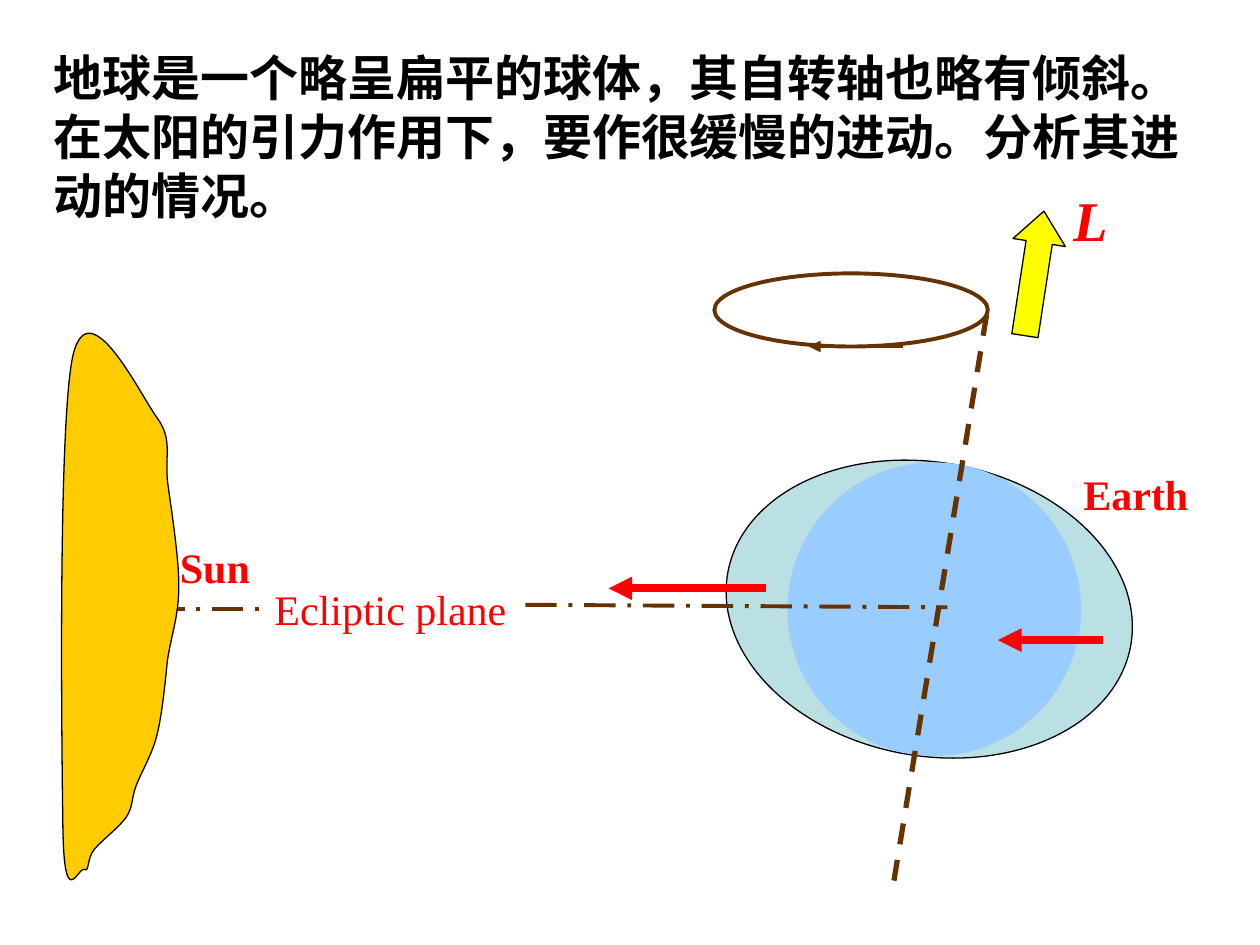
import pptx
import pptx.dml.color
import pptx.enum.dml
import pptx.enum.shapes
import pptx.oxml.ns
import pptx.oxml.xmlchemy
import pptx.util

Inches = pptx.util.Inches
Pt = pptx.util.Pt
RGBColor = pptx.dml.color.RGBColor
SHAPE = pptx.enum.shapes.MSO_SHAPE
DASH = pptx.enum.dml.MSO_LINE
qn = pptx.oxml.ns.qn
OxmlElement = pptx.oxml.xmlchemy.OxmlElement

BLACK = RGBColor(0x00, 0x00, 0x00)
RED = RGBColor(0xFF, 0x00, 0x00)
BROWN = RGBColor(0x66, 0x33, 0x00)
YELLOW = RGBColor(0xFF, 0xFF, 0x00)
GOLD = RGBColor(0xFF, 0xCC, 0x00)
PALE_TEAL = RGBColor(0xBB, 0xE0, 0xE3)
SKY = RGBColor(0x99, 0xCC, 0xFF)

# Start point, then three points (two handles and an end) per curve
SUN_EDGE = [
    (0.58, 2.82),
    (0.71, 2.28), (1.12, 3.15), (1.25, 3.32),
    (1.37, 3.49), (1.31, 3.60), (1.33, 3.82),
    (1.36, 4.04), (1.42, 4.42), (1.42, 4.65),
    (1.42, 4.89), (1.36, 5.04), (1.33, 5.24),
    (1.31, 5.43), (1.29, 5.65), (1.25, 5.82),
    (1.21, 5.99), (1.12, 6.13), (1.08, 6.24),
    (1.04, 6.35), (1.06, 6.40), (1.00, 6.49),
    (0.94, 6.57), (0.81, 6.67), (0.75, 6.74),
    (0.69, 6.81), (0.71, 6.93), (0.67, 6.90),
    (0.62, 6.88), (0.51, 7.25), (0.50, 6.57),
    (0.49, 5.89), (0.46, 3.36), (0.58, 2.82),
]


class Diagram:
    """Draws styled elements on one slide."""

    font = "Times New Roman"
    outline = 0.74

    def __init__(self, slide):
        """Keep the slide to draw on."""
        self.s = slide

    def paint(self, sp, fill, line, width):
        """Set fill and outline; None means none."""
        sp.shadow.inherit = False
        if fill is None:
            sp.fill.background()
        else:
            sp.fill.solid()
            sp.fill.fore_color.rgb = fill
        if line is None:
            sp.line.fill.background()
        else:
            sp.line.color.rgb = line
            sp.line.width = Pt(width)

    def shape(self, kind, at, fill=None, line=None, width=outline, rotation=0):
        """Add a preset shape."""
        sp = self.s.shapes.add_shape(kind, *map(Inches, at))
        sp.rotation = rotation
        self.paint(sp, fill, line, width)
        return sp

    def curve(self, points, fill, line):
        """Add a closed outline of cubic curves."""
        start, *rest = [(Inches(x), Inches(y)) for x, y in points]
        builder = self.s.shapes.build_freeform(*start)
        builder.add_line_segments(rest, close=True)
        sp = builder.convert_to_shape()
        segments = list(sp._element.iter(qn("a:lnTo")))
        for i in range(0, len(segments), 3):
            bezier = OxmlElement("a:cubicBezTo")
            segments[i].addprevious(bezier)
            for segment in segments[i:i + 3]:
                bezier.append(segment[0])
                segment.getparent().remove(segment)
        self.paint(sp, fill, line, self.outline)

    def line(self, start, end, color, width, dash=None, arrow=False):
        """Add a straight line, with an arrowhead at its end if asked."""
        cx = self.s.shapes.add_connector(
            pptx.enum.shapes.MSO_CONNECTOR.STRAIGHT,
            *map(Inches, start + end))
        cx.line.color.rgb = color
        cx.line.width = Pt(width)
        if dash is not None:
            cx.line.dash_style = dash
        if arrow:
            tail = OxmlElement("a:tailEnd")
            tail.set("type", "triangle")
            cx._element.spPr.find(qn("a:ln")).append(tail)
        cx._element.spPr.append(OxmlElement("a:effectLst"))

    def text(self, at, words, size=24, color=RED, bold=True, italic=False):
        """Add a wrapped text box with one run."""
        tf = self.s.shapes.add_textbox(*map(Inches, at)).text_frame
        tf.word_wrap = True
        p = tf.paragraphs[0]
        p.space_before = Pt(size * 0.625)
        r = p.add_run()
        r.text = words
        r.font.name = self.font
        r.font.size = Pt(size)
        r.font.bold = bold
        r.font.italic = italic
        r.font.color.rgb = color


def main():
    """Build the slide on the Earth's precession."""
    prs = pptx.Presentation()
    prs.slide_width, prs.slide_height = Inches(10), Inches(7.5)
    d = Diagram(prs.slides.add_slide(prs.slide_layouts[6]))

    # Earth and its axis
    d.shape(SHAPE.OVAL, (5.75, 3.67, 3.25, 2.33), PALE_TEAL, BLACK,
            rotation=10.3)
    d.shape(SHAPE.OVAL, (6.25, 3.67, 2.33, 2.33), SKY)
    d.line((7.83, 2.5), (7.08, 7.08), BROWN, 3, DASH.DASH)
    d.text((8.5, 3.67, 1.08, 0.5), "Earth")
    d.line((8.75, 5.08), (7.92, 5.08), RED, 4.51, arrow=True)

    # Ecliptic plane
    d.line((4.17, 4.8), (7.52, 4.82), BROWN, 2.24, DASH.LONG_DASH_DOT)
    d.text((2.08, 4.58, 2.08, 0.5), "Ecliptic plane", bold=False)
    d.line((0.75, 4.83), (2.08, 4.83), BROWN, 2.24, DASH.LONG_DASH_DOT)

    # Sun
    d.curve(SUN_EDGE, GOLD, BLACK)
    d.text((1.33, 4.25, 0.83, 0.5), "Sun")

    # Angular momentum
    momentum = d.shape(SHAPE.UP_ARROW, (8, 1.67, 0.42, 1), YELLOW, BLACK,
                       rotation=8.7)
    momentum.adjustments[0] = 0.5
    momentum.adjustments[1] = 0.6
    d.text((8.42, 1.42, 0.42, 0.64), "L", size=32, italic=True)

    # Precession circle and the pull on the near side
    d.shape(SHAPE.OVAL, (5.67, 2.17, 2.17, 0.58), line=BROWN, width=2.24)
    d.line((7.17, 2.75), (6.42, 2.75), BROWN, 2.24, arrow=True)
    d.line((6.08, 4.67), (4.83, 4.67), RED, 4.51, arrow=True)

    d.text((0.33, 0.33, 9.33, 1.5),
           "地球是一个略呈扁平的球体，其自转轴也略有倾斜。"
           "在太阳的引力作用下，要作很缓慢的进动。分析其进动的情况。",
           size=28, color=BLACK)

    prs.save("out.pptx")


main()
